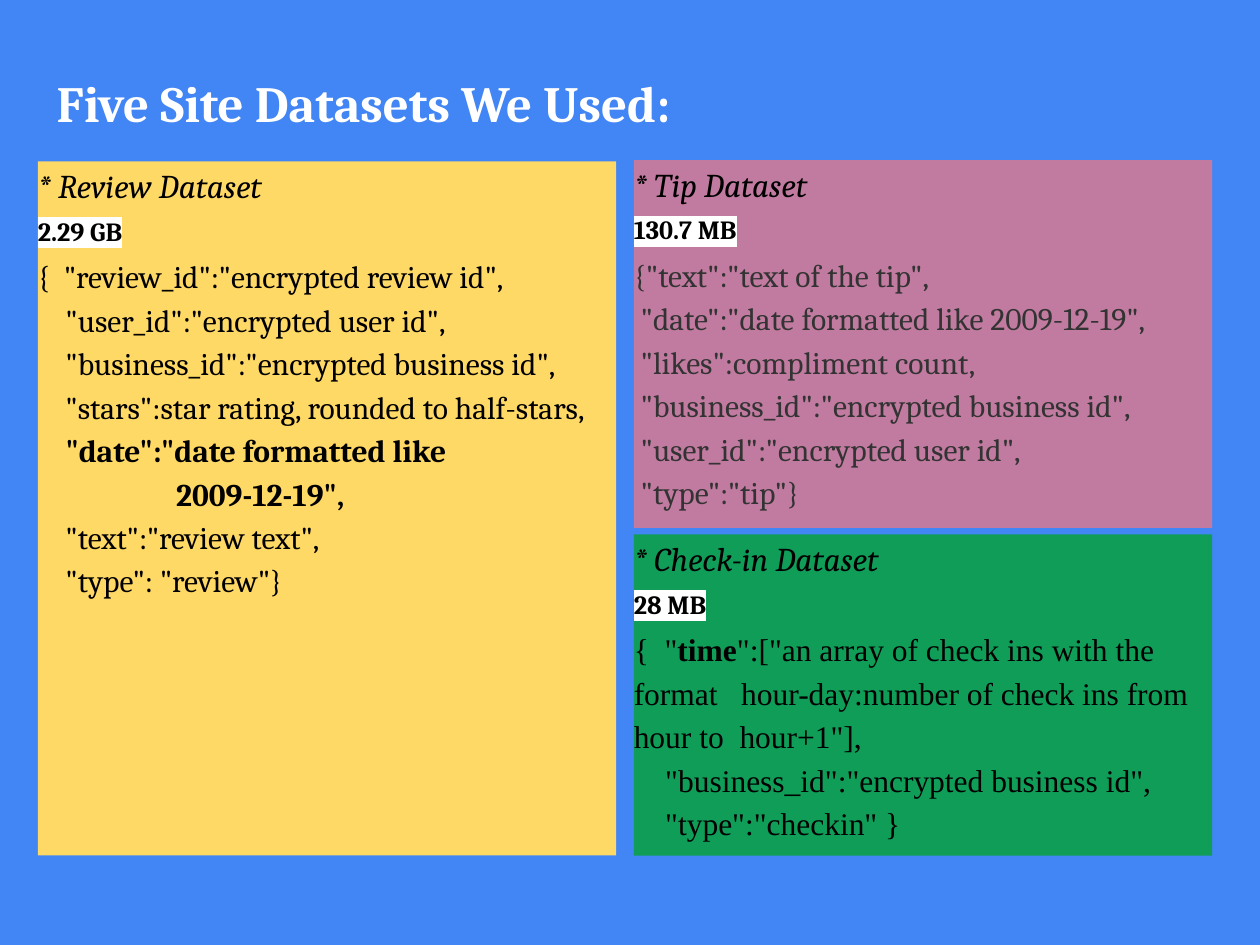
from lxml import etree
from pptx import Presentation
from pptx.dml.color import RGBColor
from pptx.enum.shapes import MSO_SHAPE
from pptx.enum.text import MSO_ANCHOR, MSO_AUTO_SIZE, PP_ALIGN
from pptx.oxml.ns import qn
from pptx.util import Inches, Pt

RECTANGLE = MSO_SHAPE.RECTANGLE
TOP, MIDDLE = MSO_ANCHOR.TOP, MSO_ANCHOR.MIDDLE
LEFT = PP_ALIGN.LEFT
NO_FIT = MSO_AUTO_SIZE.NONE
TITLE_ONLY = 5

SERIF, TIMES = "Cambria", "Times New Roman"
BLACK, WHITE, GREY = "000000", "FFFFFF", "333333"
BLUE, YELLOW, GREEN, PINK = "4285F4", "FFD966", "0F9D58", "C27BA0"

# Grid of 100 columns by 75 rows
WIDTH, HEIGHT = Inches(10), Inches(7.5)
COLUMNS, ROWS = 100, 75
PANEL_WIDTH, PANEL_BOTTOM = 45.9, 67.9
LEFT_PANEL = 3
RIGHT_PANEL = LEFT_PANEL + PANEL_WIDTH + 1.4

REVIEW_FIELDS = [
    ("""{  "review_id":"encrypted review id",
    "user_id":"encrypted user id",
    "business_id":"encrypted business id",
    "stars":star rating, rounded to half-stars,
    """, False),
    (""""date":"date formatted like
                    2009-12-19",
""", True),
    ("""    "text":"review text",
    "type": "review"}""", False),
]
CHECKIN_FIELDS = [
    ('{  "', False),
    ("time", True),
    ("""":["an array of check ins with the format   hour-day:number of check ins from hour to  hour+1"],
    "business_id":"encrypted business id",
    "type":"checkin" }""", False),
]
TIP_FIELDS = [
    ("""{"text":"text of the tip",
 "date":"date formatted like 2009-12-19",
 "likes":compliment count,
 "business_id":"encrypted business id",
 "user_id":"encrypted user id",
 "type":"tip"}""", False),
]


def rgb(value):
    return RGBColor.from_string(value)


def write(paragraph, text, *, size, font=SERIF, color=BLACK, bold=False,
          italic=False, highlight=None):
    """Add text to a paragraph, turning each newline into a line break."""
    for number, line in enumerate(text.split("\n")):
        if number:
            paragraph.add_line_break()
        if not line:
            continue
        run = paragraph.add_run()
        run.text = line
        run.font.size, run.font.name = Pt(size), font
        run.font.bold, run.font.italic = bold, italic
        run.font.color.rgb = rgb(color)
        if highlight:
            mark = etree.Element(qn("a:highlight"))
            etree.SubElement(mark, qn("a:srgbClr")).set("val", highlight)
            run.font._element.find(qn("a:solidFill")).addnext(mark)


class DatasetSlide:
    def __init__(self, presentation, background):
        layout = presentation.slide_layouts[TITLE_ONLY]
        self.slide = presentation.slides.add_slide(layout)
        fill = self.slide.background.fill
        fill.solid()
        fill.fore_color.rgb = rgb(background)

    def box(self, left, top, width, height):
        return (int(WIDTH * left / COLUMNS), int(HEIGHT * top / ROWS),
                int(WIDTH * width / COLUMNS), int(HEIGHT * height / ROWS))

    def frame(self, shape, anchor, inset):
        frame = shape.text_frame
        frame.word_wrap, frame.auto_size = True, NO_FIT
        frame.vertical_anchor = anchor
        frame.margin_left = frame.margin_right = Inches(inset)
        frame.margin_top = frame.margin_bottom = Inches(inset)
        return frame

    def line(self, paragraph, spacing, after=0):
        paragraph.alignment = LEFT
        paragraph.line_spacing = spacing
        paragraph.space_before, paragraph.space_after = Pt(0), Pt(after)
        return paragraph

    def title(self, text, *area):
        heading = self.slide.shapes.title
        heading.left, heading.top, heading.width, heading.height = self.box(*area)
        frame = self.frame(heading, MIDDLE, 0.06)
        write(self.line(frame.paragraphs[0], 1.1), text,
              size=29, color=WHITE, bold=True)

    def panel(self, name, file_size, fields, left, top, bottom, fill,
              font=SERIF, color=BLACK):
        area = self.box(left, top, PANEL_WIDTH, bottom - top)
        card = self.slide.shapes.add_shape(RECTANGLE, *area)
        card.shadow.inherit = False
        card.fill.solid()
        card.fill.fore_color.rgb = rgb(fill)
        card.line.fill.background()
        frame = self.frame(card, TOP, 0)
        write(self.line(frame.paragraphs[0], 1.1), f"* {name} Dataset",
              size=19, italic=True)
        write(self.line(frame.add_paragraph(), 1.31, after=3), file_size,
              size=15, bold=True, highlight=WHITE)
        code = self.line(frame.add_paragraph(), 1.15)
        for text, bold in fields:
            write(code, text, size=18, font=font, color=color, bold=bold)


def main():
    presentation = Presentation()
    presentation.slide_width, presentation.slide_height = WIDTH, HEIGHT
    page = DatasetSlide(presentation, BLUE)

    # Heading
    page.title("Five Site Datasets We Used:", 3.9, 3.9, 58.4, 7.9)

    # Dataset panels
    page.panel("Review", "2.29 GB", REVIEW_FIELDS,
               LEFT_PANEL, 12.8, PANEL_BOTTOM, YELLOW)
    page.panel("Check-in", "28 MB", CHECKIN_FIELDS,
               RIGHT_PANEL, 42.4, PANEL_BOTTOM, GREEN, font=TIMES)
    page.panel("Tip", "130.7 MB", TIP_FIELDS,
               RIGHT_PANEL, 12.7, 41.9, PINK, color=GREY)

    presentation.save("out.pptx")


if __name__ == "__main__":
    main()
